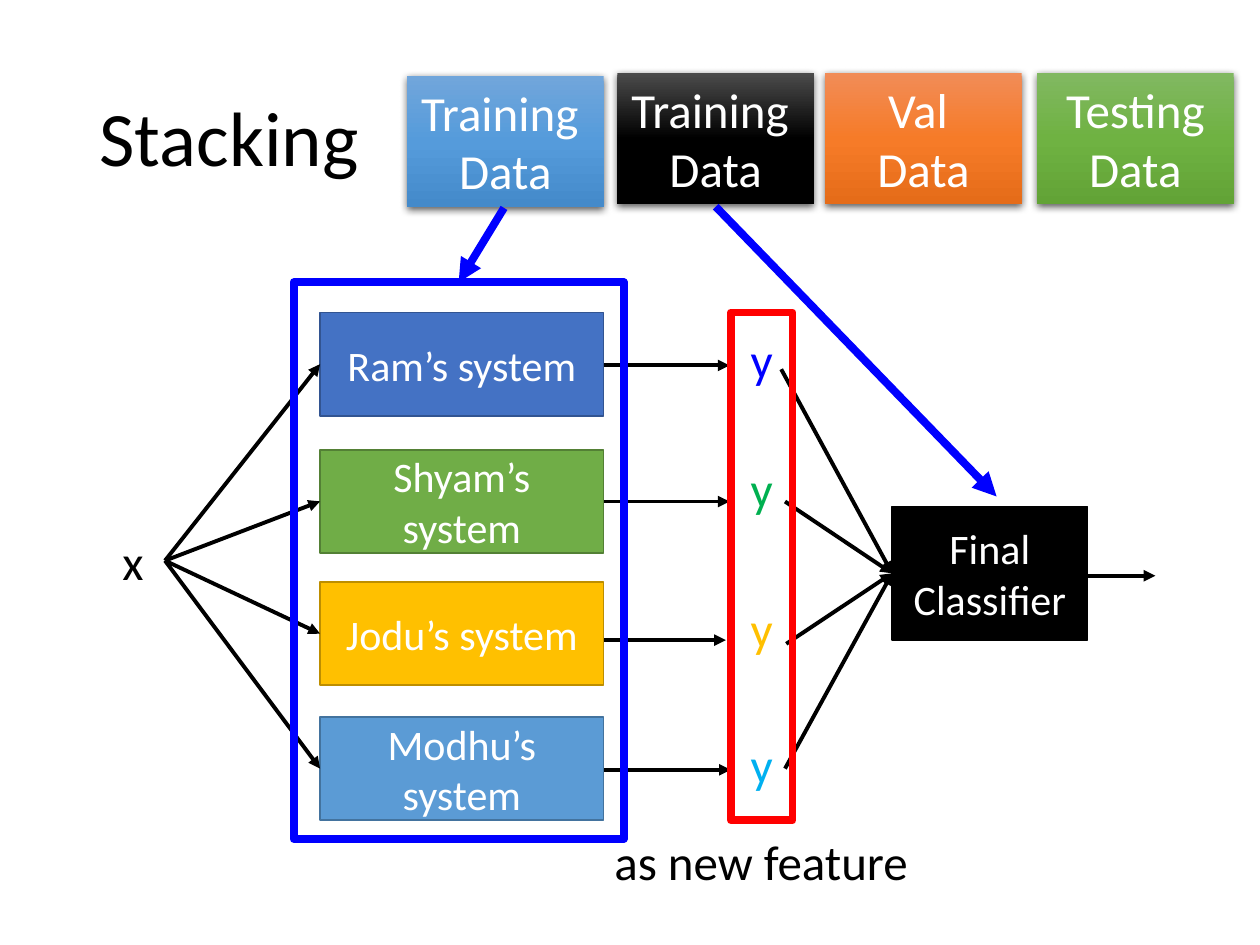
import pptx
import pptx.util
import pptx.dml.color
import pptx.enum.shapes
import pptx.enum.text
import pptx.oxml
import pptx.oxml.ns

Pt = pptx.util.Pt
ANCHOR = pptx.enum.text.MSO_ANCHOR
ALIGN = pptx.enum.text.PP_ALIGN
RECTANGLE = pptx.enum.shapes.MSO_SHAPE.RECTANGLE
COLOURS = {
    "black": "000000", "white": "FFFFFF", "blue": "0000FF", "red": "FF0000",
    "ram": "4472C4", "ram_edge": "325491", "shyam": "70AD47", "shyam_edge": "538035",
    "jodu": "FFC000", "jodu_edge": "BD8E00", "modhu": "5B9BD5", "modhu_edge": "43739E",
    "green": "00B050", "sky": "00B0F0",
}
GRADIENTS = {
    "blue": ("71A6DB", "559BDB", "448ACA"),
    "black": ("4B4B4B", "000000", "000000"),
    "orange": ("F18C57", "F67B28", "E56C19"),
    "green": ("81B861", "6FB242", "62A336"),
}
NS = pptx.oxml.ns.nsdecls("a")
SHADOW = (f'<a:effectLst {NS}><a:outerShdw blurRad="57150" dist="19050" dir="5400000" '
          'algn="ctr" rotWithShape="0"><a:srgbClr val="000000"><a:alpha val="63000"/>'
          '</a:srgbClr></a:outerShdw></a:effectLst>')


def rgb(name):
    """Return the named colour."""
    return pptx.dml.color.RGBColor.from_string(COLOURS[name])


class Diagram:
    """Hold the style and current slide, and draw each kind of element."""

    def __init__(self, slide, font="Calibri"):
        """Keep the slide and font."""
        self.slide = slide
        self.font = font

    def set_text(self, shape, text, size, colour, align=ALIGN.CENTER, **frame_format):
        """Fill a shape with formatted paragraphs."""
        frame = shape.text_frame
        frame.text = text
        for name, value in {"word_wrap": True, **frame_format}.items():
            setattr(frame, name, value)
        for paragraph in frame.paragraphs:
            paragraph.alignment = align
            for name, value in {"name": self.font, "size": Pt(size)}.items():
                setattr(paragraph.font, name, value)
            paragraph.font.color.rgb = rgb(colour)

    def title(self, text, left, top, width, height):
        """Place the slide title."""
        heading = self.slide.shapes.title
        for name, value in dict(left=left, top=top, width=width, height=height).items():
            setattr(heading, name, Pt(value))
        self.set_text(heading, text, 44, "black", ALIGN.LEFT, vertical_anchor=ANCHOR.MIDDLE,
                      auto_size=pptx.enum.text.MSO_AUTO_SIZE.NONE)
        heading.text_frame.paragraphs[0].line_spacing = 0.9

    def label(self, text, left, top, width, colour="black"):
        """Add a free-standing label."""
        box = self.slide.shapes.add_textbox(Pt(left), Pt(top), Pt(width), Pt(41))
        self.set_text(box, text, 28, colour)

    def rectangle(self, left, top, width, height):
        """Add a rectangle without shadow."""
        shape = self.slide.shapes.add_shape(
            RECTANGLE, Pt(left), Pt(top), Pt(width), Pt(height))
        shape.shadow.inherit = False
        return shape

    def block(self, text, left, top, width, height, fill, edge):
        """Add a filled block with centred text."""
        shape = self.rectangle(left, top, width, height)
        shape.fill.solid()
        shape.fill.fore_color.rgb = rgb(fill)
        shape.line.color.rgb = rgb(edge)
        shape.line.width = Pt(1)
        self.set_text(shape, text, 24, "white", vertical_anchor=ANCHOR.MIDDLE)

    def frame(self, left, top, width, height, colour):
        """Add a hollow thick frame."""
        shape = self.rectangle(left, top, width, height)
        shape.fill.background()
        shape.line.color.rgb = rgb(colour)
        shape.line.width = Pt(4.5)

    def card(self, text, left, top, gradient):
        """Add a gradient data card with a soft shadow."""
        shape = self.rectangle(left, top, 112.3, 75)
        shape.line.fill.background()
        shape.fill.gradient()
        shape.fill.gradient_angle = 270
        properties = shape._element.spPr
        stops = properties.find(".//" + pptx.oxml.ns.qn("a:gsLst"))
        stops.clear()
        for position, colour in zip((0, 50000, 100000), GRADIENTS[gradient]):
            stops.append(pptx.oxml.parse_xml(
                f'<a:gs {NS} pos="{position}"><a:srgbClr val="{colour}"/></a:gs>'))
        properties.replace(properties.find(pptx.oxml.ns.qn("a:effectLst")),
                           pptx.oxml.parse_xml(SHADOW))
        self.set_text(shape, text, 28, "white", vertical_anchor=ANCHOR.TOP)

    def arrow(self, start, end, colour="black", width=2.25):
        """Add a straight arrow."""
        line = self.slide.shapes.add_connector(
            pptx.enum.shapes.MSO_CONNECTOR.STRAIGHT, *map(Pt, (*start, *end)))
        line.line.color.rgb = rgb(colour)
        line.line.width = Pt(width)
        line.line._get_or_add_ln().append(
            pptx.oxml.parse_xml(f'<a:tailEnd {NS} type="triangle"/>'))
        line._element.spPr.append(pptx.oxml.parse_xml(f"<a:effectLst {NS}/>"))


def main():
    """Build the stacking slide."""
    deck = pptx.Presentation()
    deck.slide_width, deck.slide_height = Pt(720), Pt(540)
    diagram = Diagram(deck.slides.add_slide(deck.slide_layouts[5]))
    diagram.title("Stacking", 49.7, 28.8, 620.6, 104.4)

    for left, middle in ((310.3, 208.8), (310.3, 286.6), (308.2, 365.8), (311, 439.9)):
        diagram.arrow((left, middle), (left + 106.6, middle))

    systems = (("Ram", 178.6), ("Shyam", 257), ("Jodu", 332.6), ("Modhu", 409.7))
    for owner, top in systems:
        key = owner.lower()
        diagram.block(f"{owner}’s system", 182.9, top, 162, 59, key, f"{key}_edge")

    diagram.label("x", 57.6, 300.2, 36.7)
    votes = (("blue", 185), ("green", 258.5), ("jodu", 338.4), ("sky", 416.2))
    for colour, top in votes:
        diagram.label("y", 416.9, top, 36.7, colour)

    for owner, top in systems:
        diagram.arrow((94.3, 320.4), (182.9, top + 29.5))

    diagram.arrow((553, 329), (660.2, 329))
    diagram.block("Final\nClassifier", 509.8, 289.4, 111.6, 76.3, "black", "black")
    for start in ((446.4, 211), (448.6, 286.6), (449.3, 367.9), (448.6, 439.2)):
        diagram.arrow(start, (509.8, 327.6))

    diagram.label("as new feature", 323.3, 471.6, 223.2)
    diagram.frame(417.6, 178.6, 35.3, 290.2, "red")

    for text, left, top, gradient in (
            ("Training \nData", 232.6, 43.4, "blue"),
            ("Training \nData", 352.8, 41.8, "black"),
            ("Val \nData", 471.6, 41.8, "orange"),
            ("Testing\nData", 592.6, 41.8, "green")):
        diagram.card(text, left, top, gradient)

    diagram.frame(167.8, 161.3, 188.6, 318.2, "blue")
    diagram.arrow((288, 118.8), (262.1, 161.3), "blue", 4.5)
    diagram.arrow((409, 118.1), (569.5, 283.7), "blue", 4.5)
    deck.save("out.pptx")


if __name__ == "__main__":
    main()
